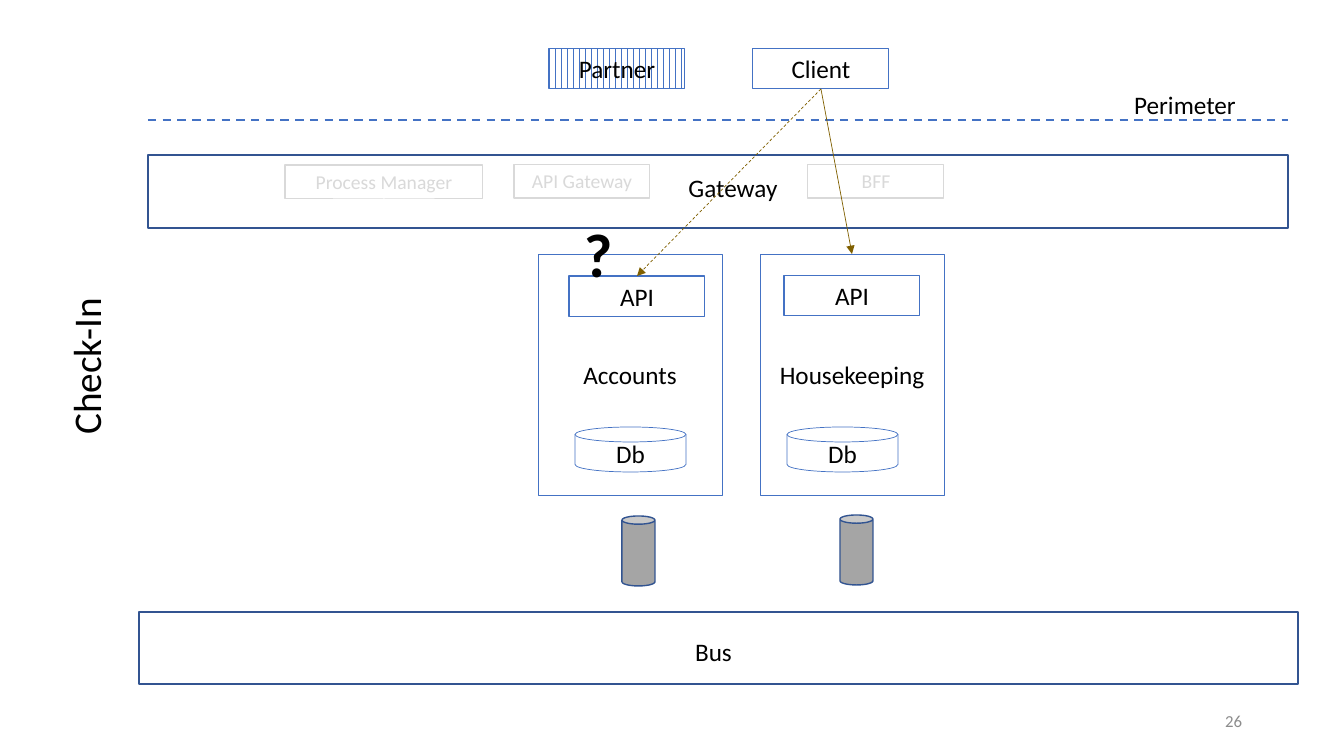
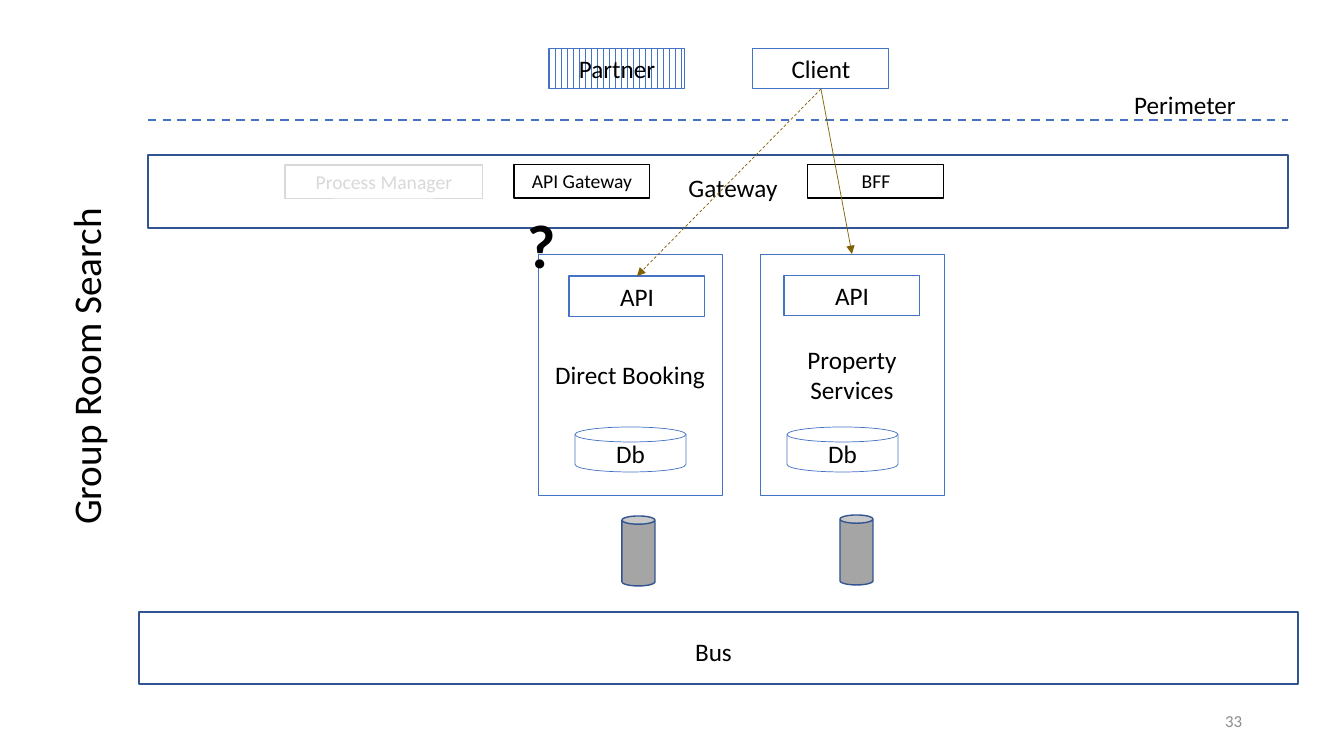
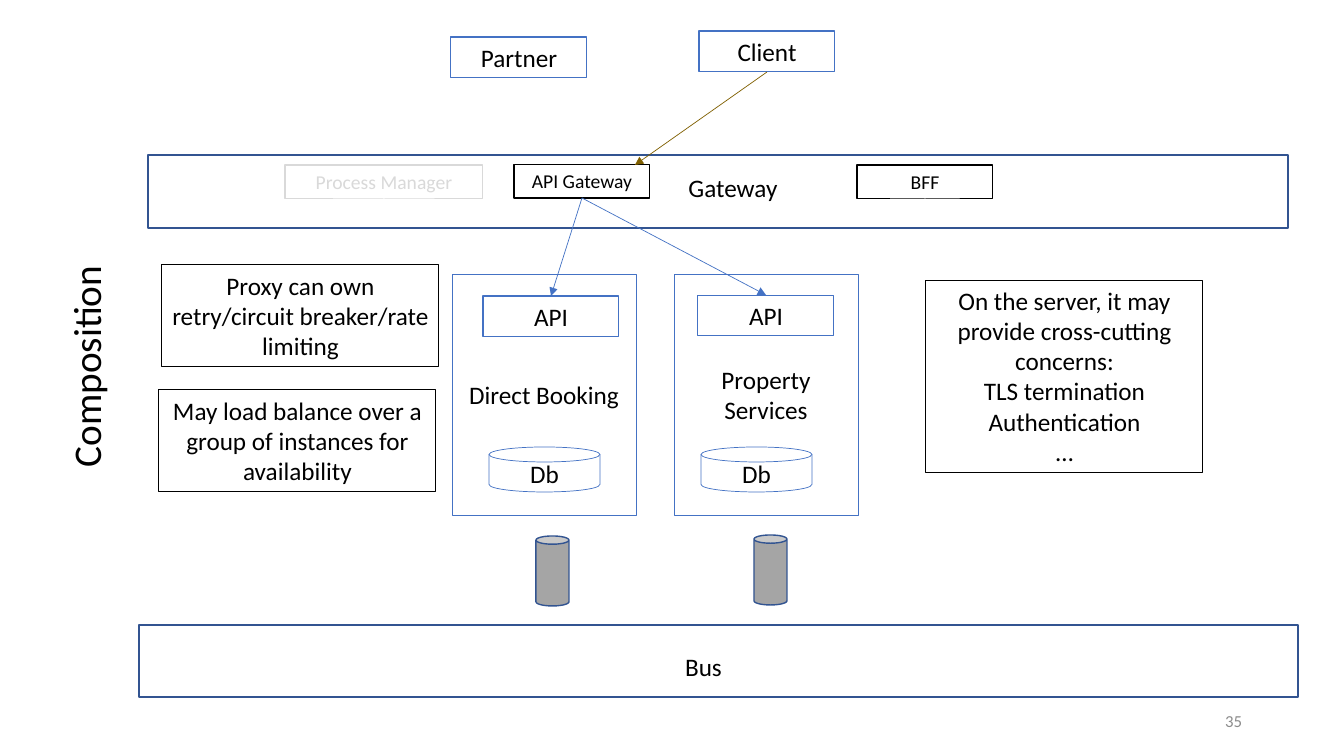
from dataclasses import dataclass

from lxml import etree
from pptx import Presentation
from pptx.dml.color import RGBColor
from pptx.enum.dml import MSO_LINE, MSO_PATTERN
from pptx.enum.shapes import MSO_CONNECTOR, MSO_SHAPE
from pptx.enum.text import MSO_ANCHOR, PP_ALIGN
from pptx.oxml.ns import qn
from pptx.util import Pt

RECTANGLE = MSO_SHAPE.RECTANGLE
CAN = MSO_SHAPE.CAN
DISK = MSO_SHAPE.FLOWCHART_MAGNETIC_DISK
STRAIGHT = MSO_CONNECTOR.STRAIGHT
DASH = MSO_LINE.DASH
STRIPES = MSO_PATTERN.DASHED_VERTICAL
TOP, MIDDLE = MSO_ANCHOR.TOP, MSO_ANCHOR.MIDDLE
LEFT, CENTER, RIGHT = PP_ALIGN.LEFT, PP_ALIGN.CENTER, PP_ALIGN.RIGHT
TOP_SIDE, BOTTOM_SIDE = 0, 2
EMU_PER_PX = 914400 / 100.8


@dataclass(frozen=True)
class Theme:
    font: str = "Calibri"
    ink: str = "000000"
    paper: str = "FFFFFF"
    blue: str = "4472C4"
    navy: str = "325491"
    olive: str = "806000"
    grey: str = "A5A5A5"
    muted: str = "D9D9D9"
    number: str = "8C8C8C"
    title_size: int = 28
    label_size: int = 18
    option_size: int = 14
    number_size: int = 12
    mark_size: int = 44
    thin: float = 0.5
    medium: float = 0.75
    band: float = 1
    dashed: float = 1.5


THEME = Theme()

TITLE_AREA = (-120, 338, 411, 57)
NUMBER_AREA = (950, 701, 302, 40)
GATEWAY_BAND = (148, 155, 1140, 73)
GATEWAY_LABEL = (678, 167, 110, 40)
PERIMETER_LINE = (148, 120, 1288, 120)
PERIMETER_LABEL = (1107, 84, 156, 40)
BUS_LEFT, BUS_SIZE = 139, (1159, 72)
BUS_LABEL_SIZE = (57, 40)
ACTOR_SIZE = (136, 41)
MARK_SIZE = (40, 85)
SERVICE_SIZE, SERVICE_STEP = (184, 241), 222
DISK_SIZE, CAN_SIZE = (111, 45), (33, 70)
SERVICE_PARTS = [
    {"api": (31, 22), "disk": (37, 173), "can": (84, 262)},
    {"api": (24, 21), "disk": (27, 173), "can": (80, 261)},
]

PROCESS_MANAGER = ("Process Manager", (285, 165, 198, 34), False)
API_GATEWAY_AREA = (514, 164, 136, 34)
DIRECT_LAYOUT = {
    "partner": (549, 48), "striped": True, "client": (753, 48),
    "services_at": (538, 254), "bus_top": 612, "bus_label": (685, 631),
    "perimeter": True,
    "links": [("client", "service 2", THEME.olive, False),
              ("client", "api 1", THEME.olive, True)],
    "notes": [],
}

SLIDES = [
    DIRECT_LAYOUT | {
        "title": "Check-In", "number": "26",
        "services": ["Accounts", "Housekeeping"],
        "options": [PROCESS_MANAGER,
                    ("API Gateway", API_GATEWAY_AREA, False),
                    ("BFF", (808, 164, 136, 34), False)],
        "mark": (574, 211),
    },
    DIRECT_LAYOUT | {
        "title": "Group Room Search", "number": "33",
        "services": ["Direct Booking", "Property Services"],
        "options": [PROCESS_MANAGER,
                    ("API Gateway", API_GATEWAY_AREA, True),
                    ("BFF", (808, 164, 136, 34), True)],
        "mark": (517, 202),
    },
    {
        "title": "Composition", "number": "35",
        "partner": (451, 37), "striped": False, "client": (699, 31),
        "services": ["Direct Booking", "Property Services"],
        "services_at": (452, 274), "bus_top": 625, "bus_label": (675, 646),
        "perimeter": False, "mark": None,
        "options": [PROCESS_MANAGER,
                    ("API Gateway", API_GATEWAY_AREA, True),
                    ("BFF", (857, 165, 136, 34), True)],
        "links": [("API Gateway", "api 1", THEME.blue, False),
                  ("API Gateway", "api 2", THEME.blue, False),
                  ("client", (635, 165), THEME.olive, False)],
        "notes": [
            ("Proxy can own retry/circuit breaker/rate limiting", (162, 265, 277, 102)),
            ("May load balance over a group of instances for availability",
             (159, 390, 277, 102)),
            ("On the server, it may provide cross-cutting concerns:\n"
             "TLS termination\nAuthentication\n…", (926, 280, 277, 193)),
        ],
    },
]


def px(value):
    return round(value * EMU_PER_PX)


def color(code):
    return RGBColor.from_string(code)


def write(shape, text, size=THEME.label_size, ink=THEME.ink, align=CENTER,
          anchor=TOP, bold=False, wrap=True):
    frame = shape.text_frame
    frame.text = text
    frame.word_wrap = wrap
    frame.vertical_anchor = anchor
    for para in frame.paragraphs:
        para.alignment = align
        for span in para.runs:
            span.font.name = THEME.font
            span.font.size = Pt(size)
            span.font.bold = bold
            span.font.color.rgb = color(ink)


def add_label(page, area, text, **style):
    write(page.shapes.add_textbox(*map(px, area)), text, **style)


def add_box(page, area, line, width, kind=RECTANGLE, fill=None, text=None, **style):
    box = page.shapes.add_shape(kind, *map(px, area))
    box.shadow.inherit = False
    box.line.color.rgb = color(line)
    box.line.width = Pt(width)
    if fill:
        box.fill.solid()
        box.fill.fore_color.rgb = color(fill)
    else:
        box.fill.background()
    if text:
        write(box, text, **style)
    return box


def add_line(page, ends, line, width, dashed, arrow):
    link = page.shapes.add_connector(STRAIGHT, *map(px, ends))
    link.line.color.rgb = color(line)
    link.line.width = Pt(width)
    if dashed:
        link.line.dash_style = DASH
    if arrow:
        outline = link.line._get_or_add_ln()
        etree.SubElement(outline, qn("a:tailEnd"), type="triangle")
    etree.SubElement(link._element.spPr, qn("a:effectLst"))
    return link


def add_frame(page, content):
    title = page.shapes.title
    title.left, title.top, title.width, title.height = map(px, TITLE_AREA)
    title.rotation = 270
    write(title, content["title"], size=THEME.title_size)
    add_label(page, NUMBER_AREA, content["number"], size=THEME.number_size,
              ink=THEME.number, align=RIGHT, anchor=MIDDLE)
    add_box(page, GATEWAY_BAND, THEME.navy, THEME.band)
    add_label(page, GATEWAY_LABEL, "Gateway", wrap=False)
    add_box(page, (BUS_LEFT, content["bus_top"], *BUS_SIZE), THEME.navy, THEME.band)
    add_label(page, (*content["bus_label"], *BUS_LABEL_SIZE), "Bus", wrap=False)
    if content["perimeter"]:
        add_line(page, PERIMETER_LINE, THEME.blue, THEME.dashed, True, False)
        add_label(page, PERIMETER_LABEL, "Perimeter")


def add_services(page, content):
    boxes = {}
    left, top = content["services_at"]
    for index, (name, parts) in enumerate(zip(content["services"], SERVICE_PARTS)):
        x = left + index * SERVICE_STEP

        def area(part, size):
            return (x + parts[part][0], top + parts[part][1], *size)

        boxes[f"service {index + 1}"] = add_box(
            page, (x, top, *SERVICE_SIZE), THEME.blue, THEME.thin,
            text=name, anchor=MIDDLE)
        boxes[f"api {index + 1}"] = add_box(
            page, area("api", ACTOR_SIZE), THEME.blue, THEME.medium, text="API")
        add_box(page, area("disk", DISK_SIZE), THEME.blue, THEME.thin, DISK,
                text="Db", anchor=MIDDLE)
        add_box(page, area("can", CAN_SIZE), THEME.navy, THEME.band, CAN, THEME.grey)
    return boxes


def add_callers(page, content):
    partner, client = (
        add_box(page, (*content[name.lower()], *ACTOR_SIZE), THEME.blue,
                THEME.medium, text=name)
        for name in ("Partner", "Client"))
    if content["striped"]:
        partner.fill.patterned()
        partner.fill.pattern = STRIPES
        partner.fill.fore_color.rgb = color(THEME.blue)
        partner.fill.back_color.rgb = color(THEME.paper)
    return {"client": client}


def add_options(page, content):
    boxes = {}
    for name, area, active in content["options"]:
        ink = THEME.ink if active else THEME.muted
        boxes[name] = add_box(page, area, ink, THEME.medium, text=name,
                              size=THEME.option_size, ink=ink)
    return boxes


def add_links(page, content, boxes):
    for source, target, line, dashed in content["links"]:
        joined = isinstance(target, str)
        end = (0, 0) if joined else target
        link = add_line(page, (0, 0, *end), line, THEME.thin, dashed, True)
        link.begin_connect(boxes[source], BOTTOM_SIDE)
        if joined:
            link.end_connect(boxes[target], TOP_SIDE)


def build_slide(deck, content):
    page = deck.slides.add_slide(deck.slide_layouts[5])
    add_frame(page, content)
    boxes = (add_services(page, content) | add_callers(page, content)
             | add_options(page, content))
    add_links(page, content, boxes)
    for text, area in content["notes"]:
        add_box(page, area, THEME.ink, THEME.medium, text=text)
    if content["mark"]:
        add_label(page, (*content["mark"], *MARK_SIZE), "?", size=THEME.mark_size,
                  align=LEFT, bold=True)


def main():
    deck = Presentation()
    deck.slide_width, deck.slide_height = px(1344), px(756)
    for content in SLIDES:
        build_slide(deck, content)
    deck.save("out.pptx")


if __name__ == "__main__":
    main()
